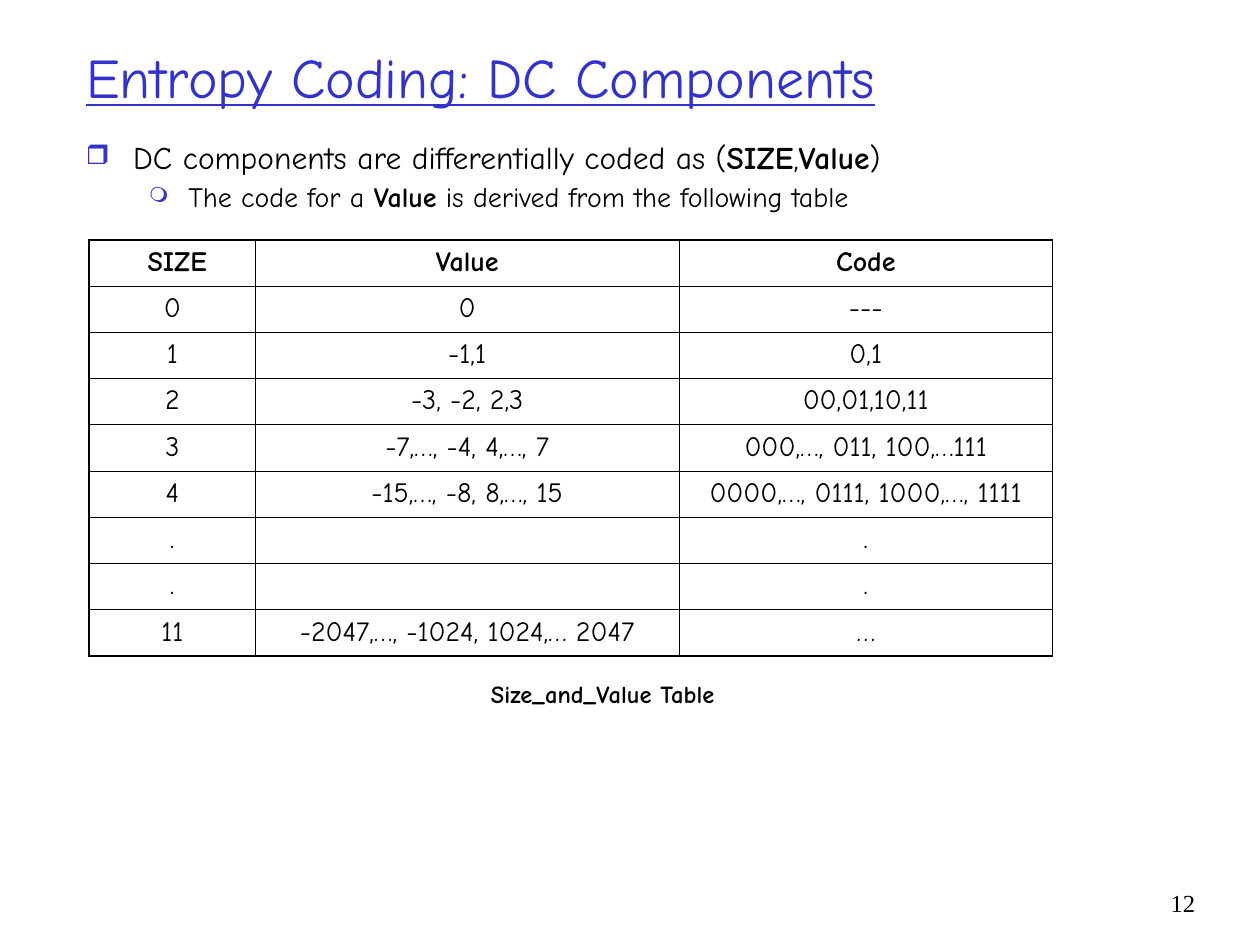
import pptx
import pptx.dml.color
import pptx.enum.text
import pptx.oxml.ns
import pptx.util
from lxml import etree

Pt = pptx.util.Pt
RGBColor = pptx.dml.color.RGBColor
ALIGN = pptx.enum.text.PP_ALIGN
ANCHOR = pptx.enum.text.MSO_ANCHOR
qn = pptx.oxml.ns.qn

BLUE = RGBColor(0x33, 0x33, 0xCC)
BLACK = RGBColor(0, 0, 0)
FONT = "Comic Neue"
NUMBER_FONT = "Times New Roman"
THICK, THIN = 1.08, 0.45

COLUMNS = [95, 242, 213.5]
ROW_HEIGHT = 26.4
ROWS = [
    [" SIZE", "Value", "Code"],
    ["0", "0", "---"],
    ["1", "-1,1", "0,1"],
    ["2", "-3, -2, 2,3", "00,01,10,11"],
    ["3", "-7,…, -4, 4,…, 7", "000,…, 011, 100,…111"],
    ["4", "-15,…, -8, 8,…, 15", "0000,…, 0111, 1000,…, 1111"],
    [".", "", "."],
    [".", "", "."],
    ["11", "-2047,…, -1024, 1024,… 2047", "…"],
]


def add_run(p, text, size, color=BLACK, bold=False, font=FONT):
    """Append a formatted run to a paragraph."""
    r = p.add_run()
    r.text = text
    r.font.name = font
    r.font.size = Pt(size)
    r.font.bold = bold
    r.font.color.rgb = color
    return r


def add_box(s, left, top, width, height, wrap=True):
    """Add a text box and return its text frame."""
    tf = s.shapes.add_textbox(Pt(left), Pt(top), Pt(width), Pt(height)).text_frame
    tf.word_wrap = wrap
    return tf


def set_title(s, text):
    """Place and fill the title placeholder."""
    sp = s.shapes.title
    sp.left, sp.top, sp.width, sp.height = Pt(42), Pt(18), Pt(612), Pt(50.5)
    tf = sp.text_frame
    tf.vertical_anchor = ANCHOR.MIDDLE
    p = tf.paragraphs[0]
    p.alignment = ALIGN.LEFT
    add_run(p, text, 32, BLUE).font.underline = True


def set_bullet(p, char, percent, margin, indent):
    """Give a paragraph a coloured bullet with a hanging indent."""
    pPr = p._p.get_or_add_pPr()
    pPr.set("marL", str(Pt(margin)))
    pPr.set("indent", str(-Pt(indent)))
    color = etree.SubElement(pPr, qn("a:buClr"))
    etree.SubElement(color, qn("a:srgbClr"), val=str(BLUE))
    etree.SubElement(pPr, qn("a:buSzPct"), val=str(percent * 1000))
    etree.SubElement(pPr, qn("a:buChar"), char=char)


def add_point(p, parts, size, bullet, level=0):
    """Fill a bulleted paragraph from (text, bold) parts."""
    p.level = level
    p.line_spacing = 0.9
    if level:
        p.space_before = Pt(4)
    set_bullet(p, *bullet)
    for text, bold in parts:
        add_run(p, text, size, bold=bold)


def set_borders(cell, widths):
    """Draw the left, right, top and bottom borders of a cell."""
    tcPr = cell._tc.get_or_add_tcPr()
    for side, width in zip("LRTB", widths):
        ln = etree.SubElement(tcPr, qn("a:ln" + side), w=str(Pt(width)))
        fill = etree.SubElement(ln, qn("a:solidFill"))
        etree.SubElement(fill, qn("a:srgbClr"), val=str(BLACK))


def fill_cell(cell, text, bold):
    """Write centred text into a cell without fill."""
    cell.fill.background()
    p = cell.text_frame.paragraphs[0]
    p.alignment = ALIGN.CENTER
    if text:
        add_run(p, text, 16, bold=bold)
    else:
        etree.SubElement(p._p, qn("a:endParaRPr"), sz="1600")


def add_size_table(s):
    """Add the table of sizes, values and codes."""
    last_row, last_col = len(ROWS) - 1, len(COLUMNS) - 1
    table = s.shapes.add_table(
        len(ROWS), len(COLUMNS), Pt(51), Pt(137),
        Pt(sum(COLUMNS)), Pt(ROW_HEIGHT * len(ROWS))).table
    table.horz_banding = False
    for column, width in zip(table.columns, COLUMNS):
        column.width = Pt(width)
    for i, texts in enumerate(ROWS):
        table.rows[i].height = Pt(ROW_HEIGHT)
        for j, text in enumerate(texts):
            cell = table.cell(i, j)
            outer = (j == 0, j == last_col, i == 0, i == last_row)
            set_borders(cell, [THICK if edge else THIN for edge in outer])
            fill_cell(cell, text, bold=i == 0)


def main():
    """Build the slide and save it."""
    prs = pptx.Presentation()
    prs.slide_width, prs.slide_height = Pt(720), Pt(540)
    s = prs.slides.add_slide(prs.slide_layouts[5])
    set_title(s, "Entropy Coding: DC Components")

    tf = add_box(s, 42, 78, 627, 50.5)
    add_point(tf.paragraphs[0],
              [("DC components are differentially coded as (", False),
               ("SIZE", True), (",", False), ("Value", True), (")", False)],
              18, ("❒", 85, 27, 27))
    add_point(tf.add_paragraph(),
              [("The code for a ", False), ("Value", True),
               (" is derived from the following table", False)],
              16, ("❍", 75, 58.5, 22.5), level=1)

    add_size_table(s)

    tf = add_box(s, 273.5, 384.5, 144, 24.5, wrap=False)
    add_run(tf.paragraphs[0], "Size_and_Value Table", 14, bold=True)

    p = add_box(s, 654, 504, 36, 36).paragraphs[0]
    p.alignment = ALIGN.RIGHT
    add_run(p, "12", 14, font=NUMBER_FONT)

    prs.save("out.pptx")


if __name__ == "__main__":
    main()
